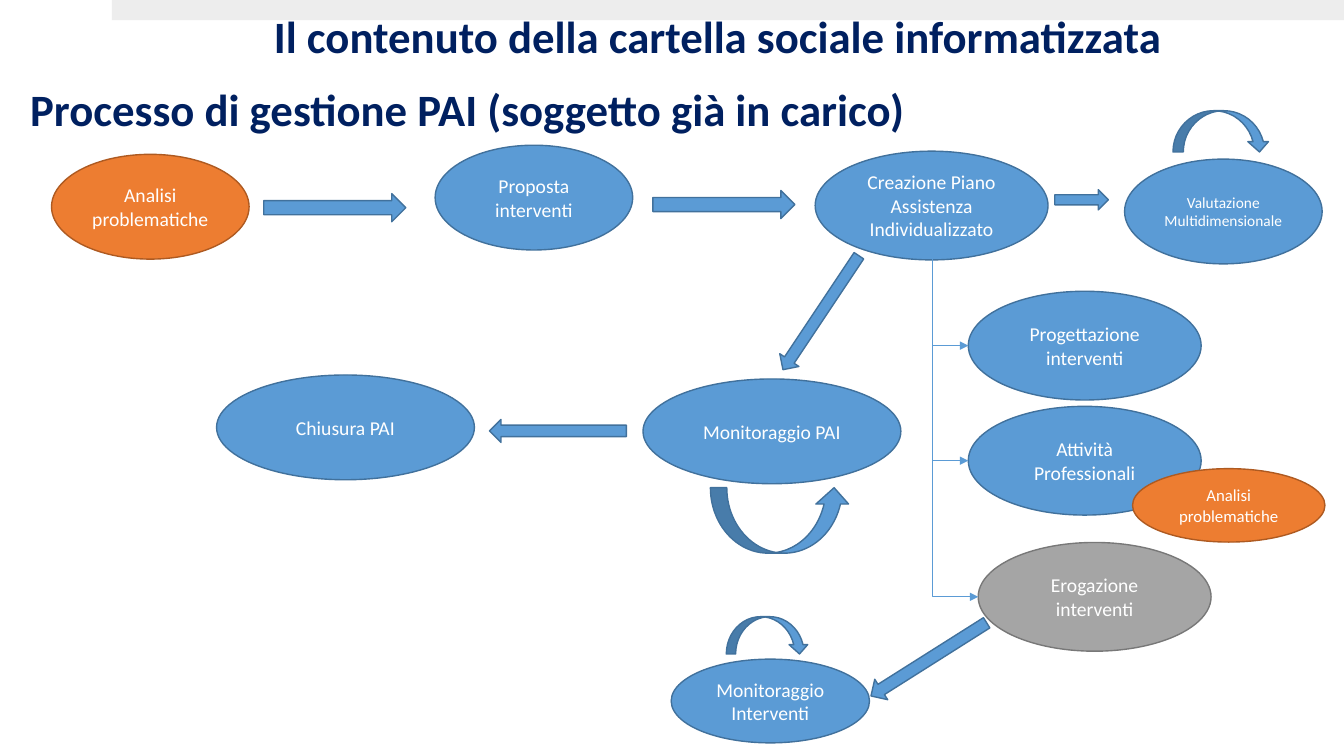
import dataclasses

import pptx
import pptx.dml.color
import pptx.enum.shapes
import pptx.enum.text
import pptx.oxml
import pptx.oxml.ns
import pptx.util

Cm = pptx.util.Cm
Pt = pptx.util.Pt
Kind = pptx.enum.shapes.MSO_SHAPE
Align = pptx.enum.text.PP_ALIGN


@dataclasses.dataclass(frozen=True)
class Theme:
    """Colours as fill and line pairs, font and type sizes."""
    font: str = "Calibri"
    navy: str = "002060"
    white: str = "FFFFFF"
    bar: str = "EDEDED"
    blue: tuple = ("5B9BD5", "41719C")
    warm: tuple = ("ED7D31", "AE5A21")
    grey: tuple = ("A5A5A5", "787878")
    head: int = 32
    body: int = 14
    small: int = 12
    tiny: int = 11


THEME = Theme()


def tint(code):
    """Turn a hex code into a colour."""
    return pptx.dml.color.RGBColor.from_string(code)


def write(shape, text, size, color, bold, align):
    """Set and format the text of a shape."""
    frame = shape.text_frame
    frame.text = text
    frame.word_wrap = True
    frame.auto_size = pptx.enum.text.MSO_AUTO_SIZE.NONE
    frame.vertical_anchor = pptx.enum.text.MSO_ANCHOR.MIDDLE
    para = frame.paragraphs[0]
    para.alignment = align
    for run in para.runs:
        run.font.name = THEME.font
        run.font.size = Pt(size)
        run.font.bold = bold
        run.font.color.rgb = tint(color)
    return para


def draw(slide, kind, x, y, w, h, pair=THEME.blue, turn=0):
    """Add a filled and outlined shape."""
    shape = slide.shapes.add_shape(kind, Cm(x), Cm(y), Cm(w), Cm(h))
    shape.shadow.inherit = False
    shape.rotation = turn
    shape.fill.solid()
    shape.fill.fore_color.rgb = tint(pair[0])
    shape.line.color.rgb = tint(pair[1])
    shape.line.width = Pt(1)
    return shape


def step(slide, text, x, y, w, h, pair=THEME.blue, size=THEME.body):
    """Add one ellipse of the process."""
    shape = draw(slide, Kind.OVAL, x, y, w, h, pair)
    write(shape, text, size, THEME.white, False, Align.CENTER)


def branch(slide, x, y, w, h):
    """Add an elbow that goes down, then right to an arrowhead."""
    mid, row = x + w / 2, y + h / 2
    link = slide.shapes.add_connector(
        pptx.enum.shapes.MSO_CONNECTOR.ELBOW,
        Cm(mid + h / 2), Cm(row - w / 2), Cm(mid - h / 2), Cm(row + w / 2))
    link.line.color.rgb = tint(THEME.blue[0])
    link.line.width = Pt(0.5)
    props = link._element.spPr
    props.find(pptx.oxml.ns.qn("a:xfrm")).set("rot", str(270 * 60000))
    props.find(pptx.oxml.ns.qn("a:prstGeom")).set("prst", "bentConnector2")
    space = pptx.oxml.ns.nsdecls("a")
    line = link.line._get_or_add_ln()
    line.append(pptx.oxml.parse_xml(f'<a:tailEnd {space} type="triangle"/>'))
    props.append(pptx.oxml.parse_xml(f"<a:effectLst {space}/>"))


def heading(slide, x, y):
    """Place the top bar, the title and the subtitle."""
    bar = draw(slide, Kind.RECTANGLE, x + 2.82, y, 31.06, 0.51,
               (THEME.bar, THEME.bar))
    bar.line.fill.background()
    title = slide.shapes.title
    title.left, title.top = Cm(x + 6.65), Cm(y + 0.48)
    title.width, title.height = Cm(29.21), Cm(0.99)
    sub = slide.shapes.add_textbox(
        Cm(x + 0.51), Cm(y + 1.65), Cm(27.84), Cm(2.36))
    for shape, text in (
            (title, "Il contenuto della cartella sociale informatizzata"),
            (sub, "Processo di gestione PAI (soggetto già in carico)")):
        para = write(shape, text, THEME.head, THEME.navy, True, Align.LEFT)
        para.line_spacing = 0.9


def intake(slide, x, y):
    """Place the top row from analysis to assessment."""
    step(slide, "Analisi problematiche", x, y + 1.1, 4.98, 2.64, THEME.warm)
    step(slide, "Proposta interventi", x + 9.67, y + 0.87, 4.98, 2.64)
    step(slide, "Creazione Piano Assistenza Individualizzato",
         x + 19.25, y + 1.02, 5.87, 2.74)
    step(slide, "Valutazione Multidimensionale",
         x + 27.05, y + 1.22, 4.98, 2.64, size=THEME.tiny)
    for dx, dy, w, h in ((5.35, 2.09, 3.58, 0.71), (15.16, 2.01, 3.58, 0.71),
                         (25.29, 1.99, 1.35, 0.51)):
        draw(slide, Kind.RIGHT_ARROW, x + dx, y + dy, w, h)
    draw(slide, Kind.CURVED_DOWN_ARROW, x + 28.27, y, 2.44, 1.04)


def tree(slide, x, y):
    """Place the three branches under the plan."""
    high = 2.74
    for text, dx, dy, pair in (
            ("Progettazione interventi", 0.91, 0.81, THEME.blue),
            ("Attività Professionali", 0.91, 3.71, THEME.blue),
            ("Erogazione\vinterventi", 1.16, 7.14, THEME.grey)):
        step(slide, text, x + dx, y + dy, 5.87, high, pair)
        branch(slide, x, y, dx, dy + high / 2)
    step(slide, "Analisi problematiche", x + 5.05, y + 5.28, 4.85, 1.85,
         THEME.warm, THEME.small)


def review(slide, x, y):
    """Place the monitoring and closing of the plan."""
    draw(slide, Kind.LEFT_ARROW, x + 13.51, y, 3.45, 0.58, turn=303.7)
    step(slide, "Monitoraggio PAI", x + 10.75, y + 1.96, 6.5, 2.64)
    draw(slide, Kind.CURVED_UP_ARROW, x + 12.45, y + 4.7, 3.53, 1.65)
    draw(slide, Kind.LEFT_ARROW, x + 6.88, y + 2.98, 3.45, 0.58)
    step(slide, "Chiusura PAI", x, y + 1.86, 6.5, 2.64)


def follow(slide, x, y):
    """Place the monitoring of the delivered services."""
    draw(slide, Kind.CURVED_DOWN_ARROW, x + 1.39, y, 2.08, 0.94)
    step(slide, "Monitoraggio Interventi", x, y + 1.07, 5, 2.11)
    draw(slide, Kind.LEFT_ARROW, x + 4.77, y + 0.77, 3.45, 0.61, turn=327.7)


def main():
    """Build the slide and save it."""
    deck = pptx.Presentation()
    deck.slide_width, deck.slide_height = Cm(33.88), Cm(19.05)
    slide = deck.slides.add_slide(deck.slide_layouts[5])
    heading(slide, 0, 0)
    intake(slide, 1.3, 2.79)
    tree(slide, 23.5, 6.53)
    review(slide, 5.46, 7.59)
    follow(slide, 16.92, 15.54)
    deck.save("out.pptx")


if __name__ == "__main__":
    main()
